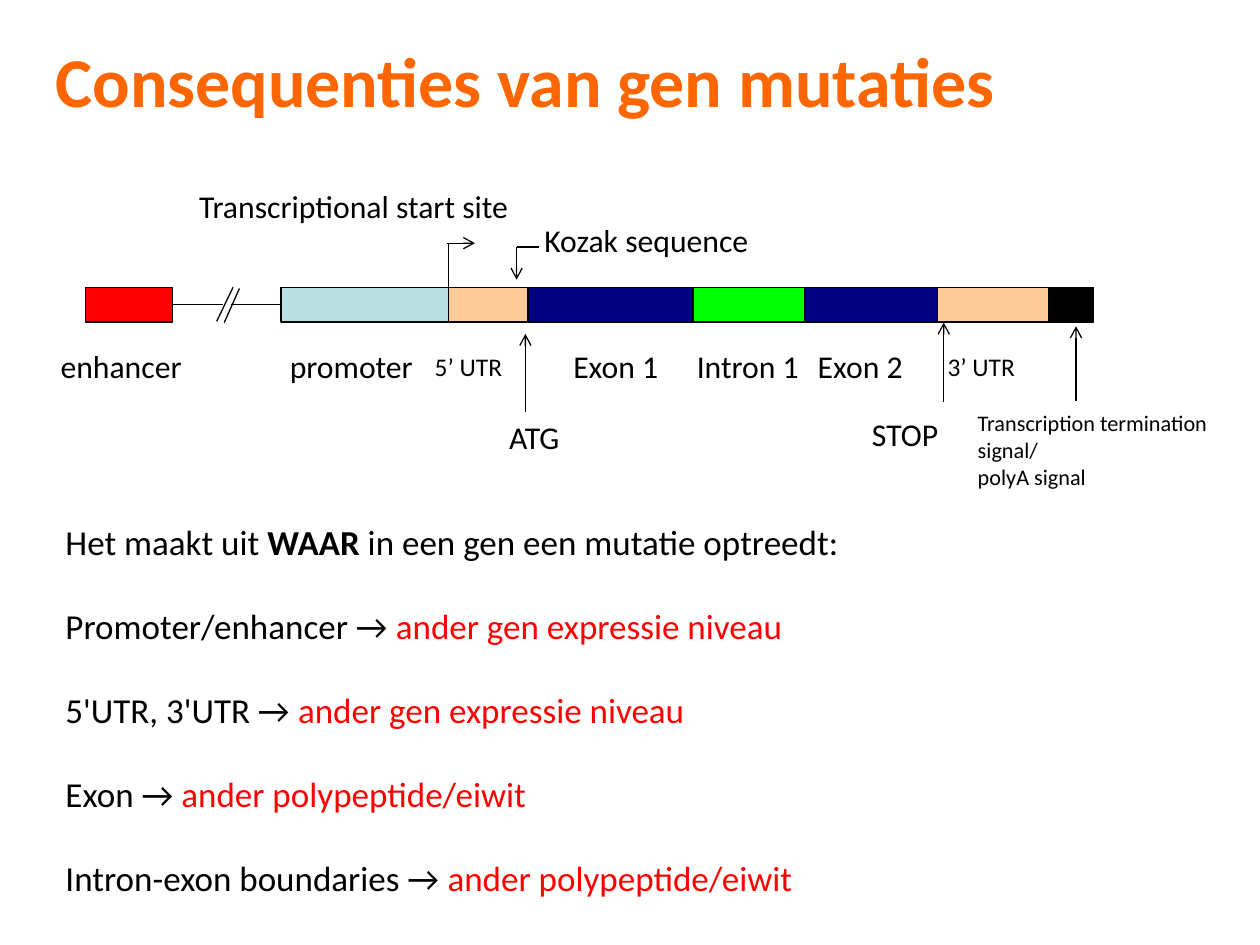
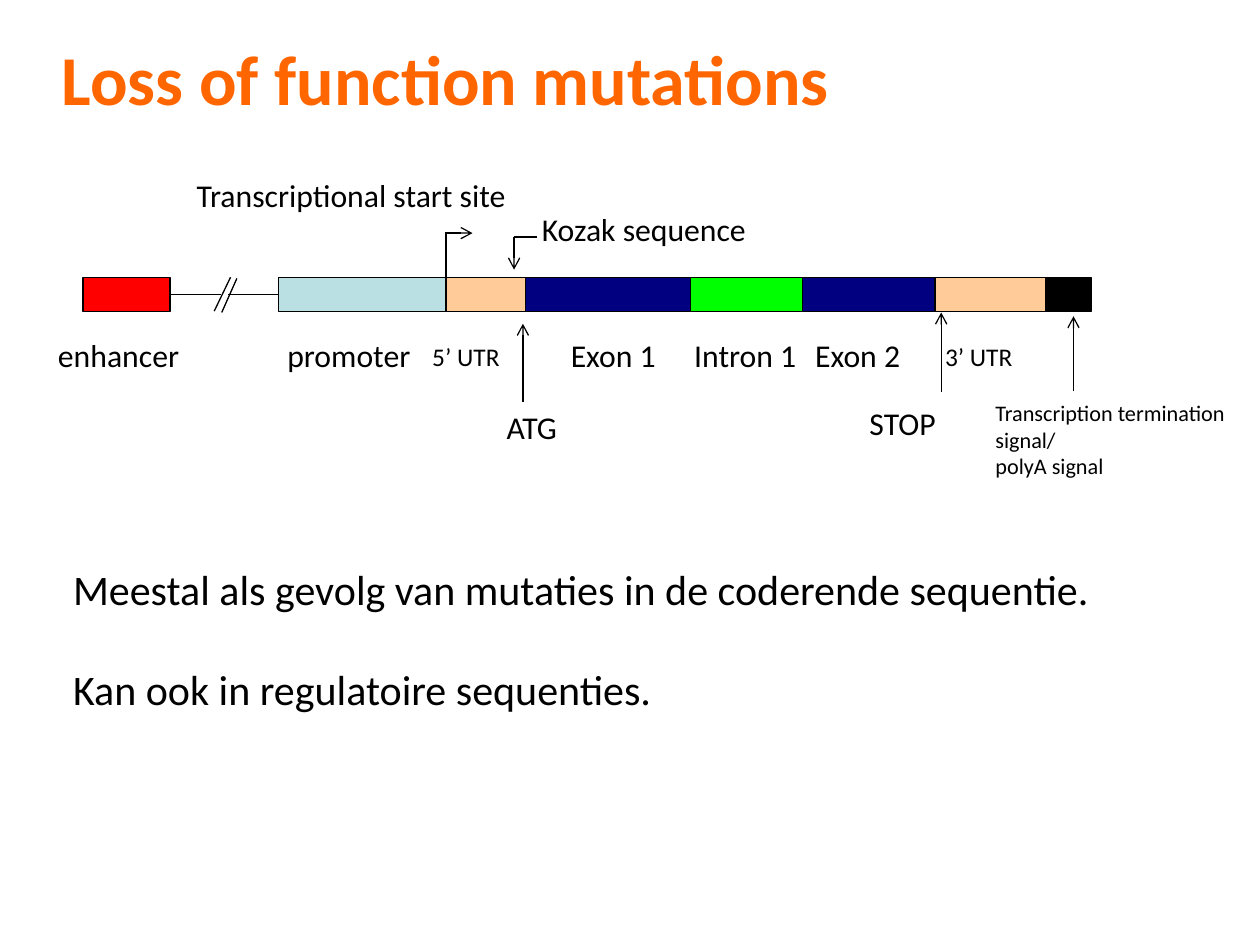
from itertools import accumulate

from lxml import etree
from pptx import Presentation
from pptx.dml.color import RGBColor
from pptx.enum.shapes import MSO_CONNECTOR, MSO_SHAPE
from pptx.enum.text import MSO_ANCHOR, MSO_AUTO_SIZE, PP_ALIGN
from pptx.oxml.ns import qn
from pptx.util import Inches, Pt

LINE = MSO_CONNECTOR.STRAIGHT
RECT = MSO_SHAPE.RECTANGLE
TOP, LEFT, FIXED = MSO_ANCHOR.TOP, PP_ALIGN.LEFT, MSO_AUTO_SIZE.NONE

# Shared style; the slide is a grid of 100 columns by 75 rows
CELL = Inches(10) / 100
FONT = "Calibri"
BLACK, RED, ORANGE = "000000", "FF0000", "FF6600"
TEAL, PEACH, NAVY, GREEN = "BBE0E3", "FFCC99", "000080", "00FF00"
BIG, SMALL, TINY = 18.1, 14.5, 12.7

# Gene parts from left to right: columns wide, colour
PARTS = [(13.3, TEAL), (6.3, PEACH), (13.1, NAVY), (8.9, GREEN),
         (10.5, NAVY), (8.8, PEACH), (3.6, BLACK)]
START, BAR, THICK = 18.3, 8.8, 2.75

# Labels: text, column, row, columns wide, size
LABELS = [("enhancer", -0.1, 13, 11.5, BIG),
          ("promoter", 18.1, 13, 11.6, BIG),
          ("5’ UTR", 29.6, 13.4, 7.2, SMALL),
          ("Exon 1", 40.6, 13, 8.6, BIG),
          ("Intron 1", 50.4, 13, 10, BIG),
          ("Exon 2", 60, 13, 8.6, BIG),
          ("3’ UTR", 70.3, 13.4, 7.2, SMALL),
          ("Transcriptional start site", 10.9, 0.3, 26.5, BIG),
          ("Kozak sequence", 38.3, 3, 18.1, BIG),
          ("ATG", 35.5, 18.7, 5.8, BIG),
          ("STOP", 64.3, 18.4, 7.1, BIG)]

# Plain strokes and arrows: from column, row, to column, row
STROKES = [(31.6, 9.4, 31.6, 5.3), (37, 5.6, 38.8, 5.6),
           (15, 8.9, 13.8, 11.6), (14.5, 8.8, 13.2, 11.5)]
ARROWS = [(31.5, 5.3, 33.7, 5.3), (37, 5.6, 37, 8.2),
          (37.7, 18.7, 37.7, 12.5), (70.9, 17.9, 70.9, 11.6),
          (81.4, 17.8, 81.4, 11.9)]


def color(code):
    return RGBColor.from_string(code)


def cells(*counts):
    return [round(count * CELL) for count in counts]


def write(shape, paras, size, tint=BLACK, bold=False, wrap=True, gap=0, pad=0.05):
    """Fill a shape; each paragraph is a list of (text, format) runs or a string."""
    frame = shape.text_frame
    frame.word_wrap, frame.auto_size = wrap, FIXED
    frame.vertical_anchor = TOP
    frame.margin_left = frame.margin_right = Inches(0.09)
    frame.margin_top = frame.margin_bottom = Inches(pad)
    for i, runs in enumerate(paras):
        para = frame.paragraphs[0] if i == 0 else frame.add_paragraph()
        para.alignment = LEFT
        para.space_before = Pt(gap if i else 0)
        for words, look in [(runs, {})] if isinstance(runs, str) else runs:
            run = para.add_run()
            run.text = words
            run.font.name, run.font.size = FONT, Pt(size)
            run.font.bold = look.get("bold", bold)
            run.font.color.rgb = color(look.get("tint", tint))


def note(slide, box, paras, size, **look):
    write(slide.shapes.add_textbox(*cells(*box)), paras, size, **look)


def block(slide, box, fill):
    shape = slide.shapes.add_shape(RECT, *cells(*box))
    shape.shadow.inherit = False
    shape.fill.solid()
    shape.fill.fore_color.rgb = color(fill)
    shape.line.color.rgb = color(BLACK)
    shape.line.width = Pt(0.75)
    return shape


def stroke(slide, ends, arrow=False):
    line = slide.shapes.add_connector(LINE, *cells(*ends))
    line.line.color.rgb = color(BLACK)
    line.line.width = Pt(0.75)
    props = line._element.spPr
    if arrow:
        etree.SubElement(props.find(qn("a:ln")), qn("a:tailEnd"), type="arrow")
    etree.SubElement(props, qn("a:effectLst"))
    return line


def head(deck, words, box):
    slide = deck.slides.add_slide(deck.slide_layouts[5])
    title = slide.shapes.title
    title.left, title.top, title.width, title.height = cells(*box)
    write(title, [words], 40, tint=ORANGE, bold=True)
    return slide


def gene(slide, left, top, end):
    """Draw the gene map from (left, top); end places the termination label."""
    # Gene bar
    starts = accumulate((wide for wide, _ in PARTS), initial=START)
    bar = [block(slide, (left + x, top + BAR, wide, THICK), fill)
           for x, (wide, fill) in zip(starts, PARTS)]

    # Enhancer and the broken line to the promoter
    boost = block(slide, (left + 2.8, top + BAR, 6.9, THICK), RED)
    mid = top + BAR + THICK / 2
    stroke(slide, (left + 9.7, mid, left + 13.7, mid)).begin_connect(boost, 3)
    stroke(slide, (left + START, mid, left + 14.3, mid)).begin_connect(bar[0], 1)

    # Markers
    for marks, arrow in ((STROKES, False), (ARROWS, True)):
        for x1, y1, x2, y2 in marks:
            stroke(slide, (left + x1, top + y1, left + x2, top + y2), arrow)

    # Labels
    for words, x, y, wide, size in LABELS:
        high = 4 if size == BIG else 3.4
        note(slide, (left + x, top + y, wide, high), [words], size, wrap=False)
    note(slide, (left + end, top + 18, 22, 7.5),
         ["Transcription termination signal/", "polyA signal"], TINY)


def effects(deck):
    slide = head(deck, "Consequenties van gen mutaties", (3.5, 2.5, 90.8, 7.8))
    gene(slide, 4, 14, 72.7)
    level, protein = "ander gen expressie niveau", "ander polypeptide/eiwit"
    rules = [("Promoter/enhancer", level), ("5'UTR, 3'UTR", level),
             ("Exon", protein), ("Intron-exon boundaries", protein)]
    intro = [("Het maakt uit ", {}), ("WAAR", {"bold": True}),
             (" in een gen een mutatie optreedt:", {})]
    lines = [[(f"{place} → ", {}), (result, {"tint": RED})] for place, result in rules]
    note(slide, (4.3, 40.9, 88.4, 34), [intro] + lines, 20, gap=24, pad=0.04)


def losses(deck):
    slide = head(deck, "Loss of function mutations", (4, 2.3, 75, 7.7))
    gene(slide, 3.8, 13.2, 74.3)
    note(slide, (4.9, 44.3, 95, 17.3),
         ["Meestal als gevolg van mutaties in de coderende sequentie.",
          "Kan ook in regulatoire sequenties."], 24, gap=28.5, pad=0.04)


def main():
    deck = Presentation()
    deck.slide_width, deck.slide_height = cells(100, 75)
    effects(deck)
    losses(deck)
    deck.save("out.pptx")


if __name__ == "__main__":
    main()
